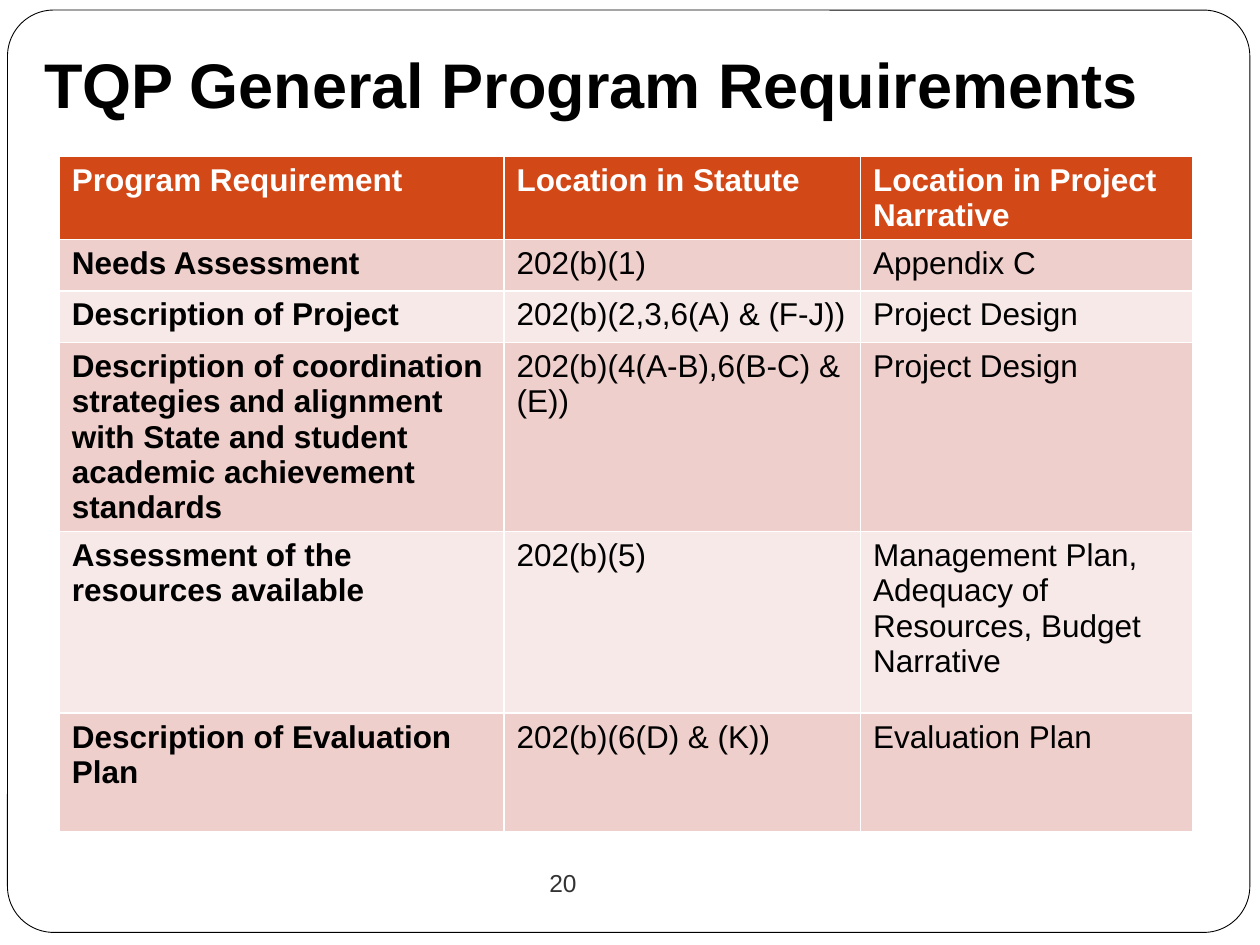
from pptx import Presentation
from pptx.dml.color import RGBColor
from pptx.enum.shapes import MSO_SHAPE
from pptx.enum.text import MSO_ANCHOR, PP_ALIGN
from pptx.util import Inches, Pt

COLORS = {
    "white": "FFFFFF",
    "black": "000000",
    "gray": "333333",
    "header": "D34817",
    "dark_band": "EFCFCC",
    "light_band": "F7E9E8",
}
COLUMN_WIDTHS = [3.53, 2.83, 2.64]
ROW_HEIGHTS = [0.65, 0.41, 0.41, 1.5, 1.44, 0.94]
REQUIREMENTS = [
    ("Program Requirement", "Location in Statute", "Location in Project Narrative"),
    ("Needs Assessment", "202(b)(1)", "Appendix C"),
    ("Description of Project", "202(b)(2,3,6(A) & (F-J))", "Project Design"),
    ("Description of coordination strategies and alignment with State and student "
     "academic achievement standards", "202(b)(4(A-B),6(B-C) & (E))", "Project Design"),
    ("Assessment of the resources available", "202(b)(5)",
     "Management Plan,\nAdequacy of Resources, Budget Narrative"),
    ("Description of Evaluation Plan", "202(b)(6(D) & (K))", "Evaluation Plan"),
]


def color(name):
    return RGBColor.from_string(COLORS[name])


def write(text_frame, text, size, color_name, bold=False):
    """Fill a text frame with left-aligned Arial, one paragraph per line."""
    text_frame.text = text
    text_frame.word_wrap = True
    for para in text_frame.paragraphs:
        para.alignment = PP_ALIGN.LEFT
        para.font.color.rgb = color(color_name)
        for name, value in {"name": "Arial", "size": Pt(size), "bold": bold}.items():
            setattr(para.font, name, value)


deck = Presentation()
deck.slide_width, deck.slide_height = Inches(10), Inches(7.5)
slide = deck.slides.add_slide(deck.slide_layouts[5])

# Title
title = slide.shapes.title
title.left, title.top = Inches(0.25), Inches(0.25)
title.width, title.height = Inches(9.25), Inches(0.92)
write(title.text_frame, "TQP General Program Requirements", 36, "black", bold=True)
title.text_frame.vertical_anchor = MSO_ANCHOR.TOP
title.text_frame.margin_top = Inches(0.11)

# Rounded frame behind everything
frame = slide.shapes.add_shape(MSO_SHAPE.ROUNDED_RECTANGLE, Inches(0.06), Inches(0.08),
                               Inches(9.86), Inches(7.32))
frame.adjustments[0] = 0.05
frame.shadow.inherit = False
frame.fill.solid()
frame.fill.fore_color.rgb = color("white")
frame.line.color.rgb = color("black")
frame.line.width = Pt(0.5)
title.element.addprevious(frame.element)

# Requirements table
table = slide.shapes.add_table(len(ROW_HEIGHTS), len(COLUMN_WIDTHS), Inches(0.47), Inches(1.24),
                               Inches(sum(COLUMN_WIDTHS)), Inches(sum(ROW_HEIGHTS))).table
for column, width in zip(table.columns, COLUMN_WIDTHS):
    column.width = Inches(width)
for row_index, (row, height, texts) in enumerate(zip(table.rows, ROW_HEIGHTS, REQUIREMENTS)):
    row.height = Inches(height)
    is_header = row_index == 0
    band = "header" if is_header else "dark_band" if row_index % 2 else "light_band"
    for column_index, (cell, text) in enumerate(zip(row.cells, texts)):
        cell.fill.solid()
        cell.fill.fore_color.rgb = color(band)
        write(cell.text_frame, text, 18, "white" if is_header else "black",
              bold=is_header or column_index == 0)

# Page number
number_box = slide.shapes.add_textbox(Inches(4.36), Inches(6.84), Inches(1.27), Inches(0.4))
write(number_box.text_frame, "20", 14, "gray")
number_box.text_frame.margin_left = number_box.text_frame.margin_right = 0

deck.save("out.pptx")
